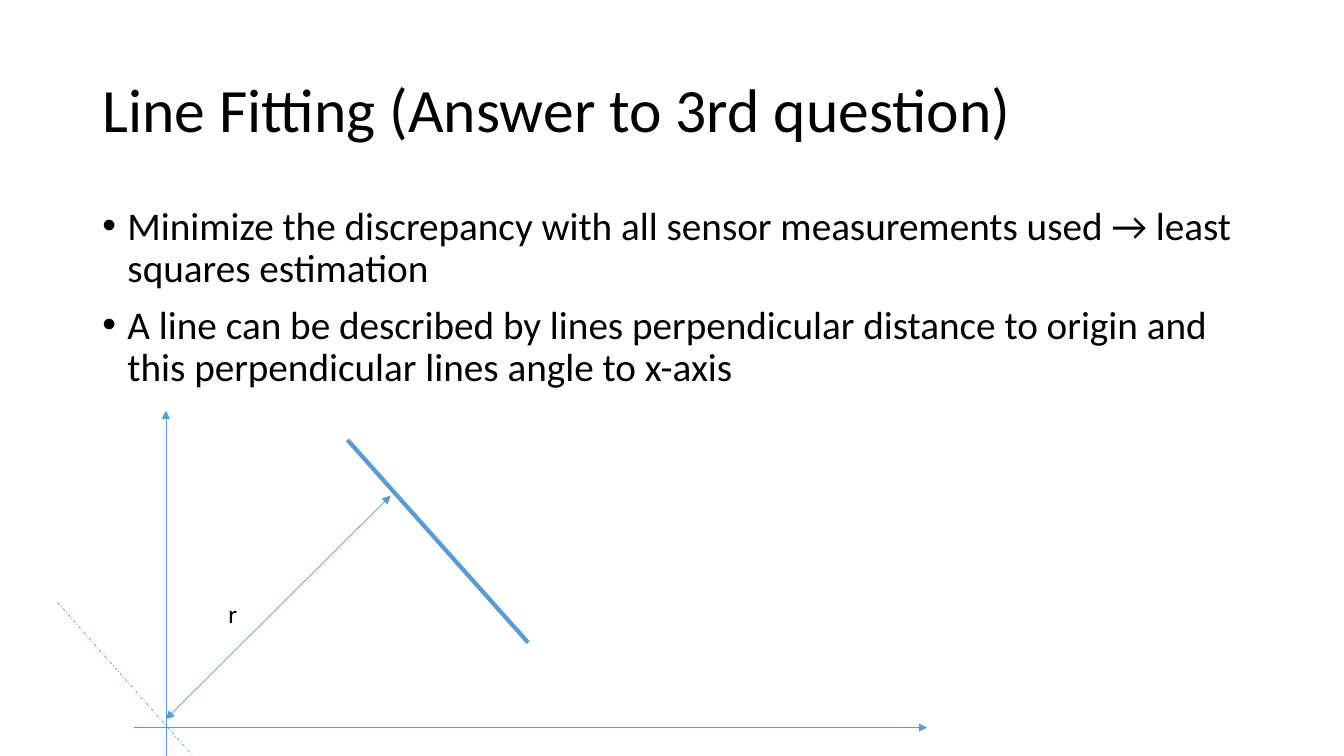
from lxml import etree
from pptx import Presentation
from pptx.dml.color import RGBColor
from pptx.enum.dml import MSO_LINE
from pptx.enum.shapes import MSO_CONNECTOR
from pptx.enum.text import MSO_ANCHOR
from pptx.oxml.ns import qn
from pptx.util import Emu, Pt

PX = 9525
BLACK = RGBColor(0x00, 0x00, 0x00)
BLUE = RGBColor(0x5B, 0x9B, 0xD5)
FONT = "Calibri"
STRAIGHT = MSO_CONNECTOR.STRAIGHT
DASH_DOT = MSO_LINE.DASH_DOT
MIDDLE = MSO_ANCHOR.MIDDLE
TOP = MSO_ANCHOR.TOP

TITLE = "Line Fitting (Answer to 3rd question)"
POINTS = [
    "Minimize the discrepancy with all sensor measurements used → least squares estimation",
    "A line can be described by lines perpendicular distance to origin and "
    "this perpendicular lines angle to x-axis",
]


def px(length):
    return Emu(length * PX)


def style(para, size):
    para.font.name = FONT
    para.font.size = Pt(size)
    para.font.color.rgb = BLACK


def add_text(shapes, box, lines, size, anchor=TOP, wrap=True, bullets=False):
    frame = shapes.add_textbox(*map(px, box)).text_frame
    frame.word_wrap = wrap
    frame.vertical_anchor = anchor
    for index, line in enumerate(lines):
        para = frame.paragraphs[0] if index == 0 else frame.add_paragraph()
        para.text = line
        if wrap:
            para.line_spacing = 0.9
        if index:
            para.space_before = Pt(10)
        if bullets:
            props = para._p.get_or_add_pPr()
            props.set("marL", str(px(24)))
            props.set("indent", str(-px(24)))
            etree.SubElement(props, qn("a:buFont")).set("typeface", "Arial")
            etree.SubElement(props, qn("a:buChar")).set("char", "•")
        style(para, size)


def add_line(shapes, start, end, width=0.5, dash=None, arrows=()):
    line = shapes.add_connector(STRAIGHT, *map(px, start + end))
    line.line.color.rgb = BLUE
    line.line.width = Pt(width)
    if dash:
        line.line.dash_style = dash
    outline = line.line._get_or_add_ln()
    for arrow in arrows:
        etree.SubElement(outline, qn(f"a:{arrow}")).set("type", "triangle")
    etree.SubElement(line._element.spPr, qn("a:effectLst"))


def add_diagram(page, box):
    left, top, width, height = box
    shapes = page.shapes.add_group_shape().shapes

    def at(x, y):
        return left + x, top + y

    add_line(shapes, at(103, 329), at(103, 0), arrows=["tailEnd"])
    add_line(shapes, at(73, 302), at(width, 302), arrows=["tailEnd"])
    add_line(shapes, at(276, 28), at(448, 221), width=3)
    add_line(shapes, at(0, 183), at(171, height), dash=DASH_DOT)
    add_line(shapes, at(103, 294), at(317, 81), arrows=["headEnd", "tailEnd"])
    add_text(shapes, at(153, 174) + (22, 38), ["r"], 18, wrap=False)


def main():
    deck = Presentation()
    deck.slide_width = px(1280)
    deck.slide_height = px(720)
    page = deck.slides.add_slide(deck.slide_layouts[6])
    add_text(page.shapes, (88, 38, 1104, 139), [TITLE], 44, anchor=MIDDLE)
    add_text(page.shapes, (88, 192, 1104, 457), POINTS, 28, bullets=True)
    add_diagram(page, (55, 391, 828, 377))
    deck.save("out.pptx")


if __name__ == "__main__":
    main()
